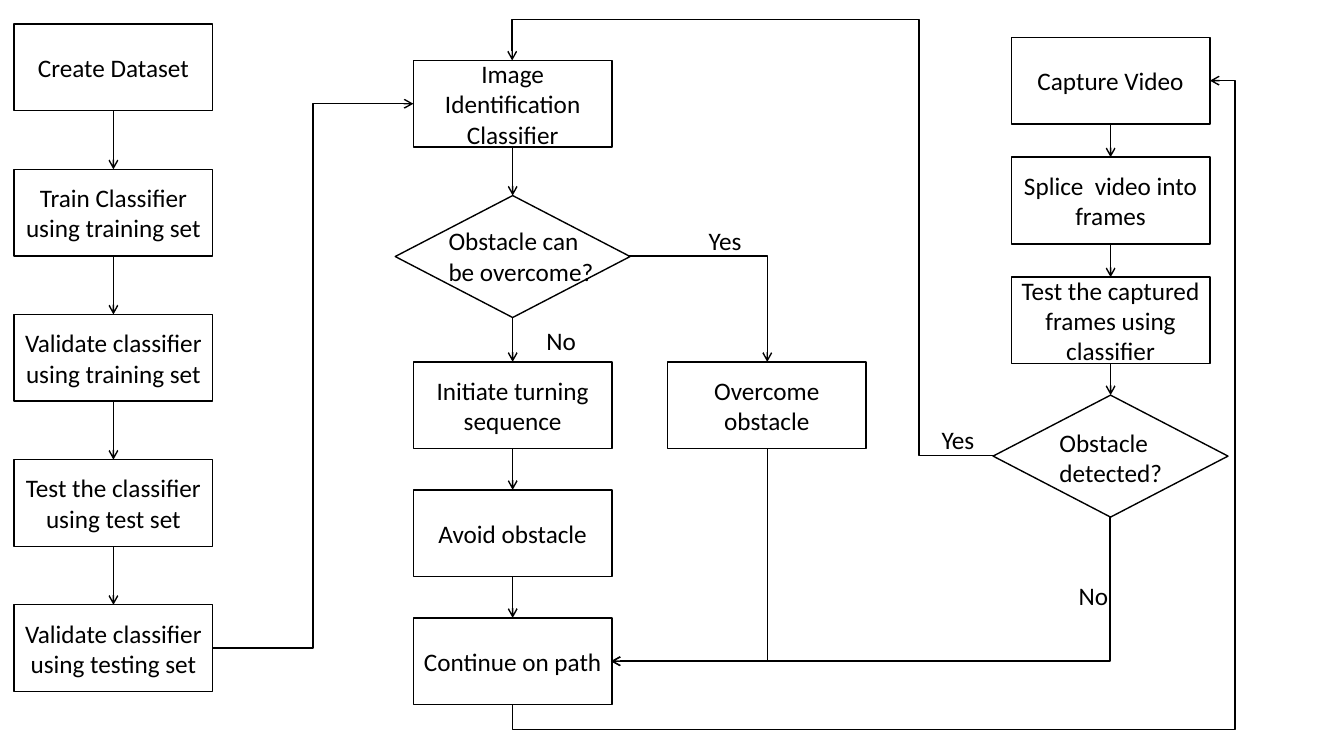
import pptx
import pptx.util
import pptx.dml.color
import pptx.enum.shapes
import pptx.enum.text
import pptx.oxml.ns
import pptx.oxml.xmlchemy
from pptx.util import Inches

COLORS = {"ink": "000000", "paper": "FFFFFF"}
FONT, SIZE = "Calibri", 18
BOX_WIDTH, BOX_HEIGHT = 1.97, 0.86
DECISION_WIDTH, DECISION_HEIGHT = 2.33, 1.21
TRAINING_TOP, TRAINING_STEP = 0.24, 1.44
VIDEO_TOP, VIDEO_STEP = 0.37, 1.19
TOP, BOTTOM = 0, 2

training = [
    "Create Dataset",
    "Train Classifier using training set",
    "Validate classifier using training set",
    "Test the classifier using test set",
    "Validate classifier using testing set",
]
video = [
    "Capture Video",
    "Splice  video into frames",
    "Test the captured frames using classifier",
]
DECISION = None

flows = [
    (0.14, [(TRAINING_TOP + i * TRAINING_STEP, step) for i, step in enumerate(training)]),
    (4.1, [
        (0.6, "Image Identification Classifier"),
        (1.94, DECISION),
        (3.59, "Initiate turning sequence"),
        (4.86, "Avoid obstacle"),
        (6.13, "Continue on path"),
    ]),
    (6.62, [(3.59, "Overcome obstacle")]),
    (10.03, [(VIDEO_TOP + i * VIDEO_STEP, step) for i, step in enumerate(video)]
     + [(3.92, DECISION)]),
]

captions = [
    (4.35, 2.19, 1.71, 0.71, "Obstacle can\nbe overcome?"),
    (10.41, 4.19, 1.23, 0.71, "Obstacle\ndetected?"),
    (5.32, 3.18, 0.5, 0.4, "No"),
    (6.93, 2.19, 0.53, 0.4, "Yes"),
    (9.24, 4.16, 0.53, 0.4, "Yes"),
    (10.6, 5.71, 0.5, 0.4, "No"),
]

detours = [
    ((2.11, 6.43), (4.1, 1.03), "bentConnector3", 0, "v", [50]),
    ((6.24, 2.54), (7.61, 3.59), "bentConnector2", 0, "", []),
    ((7.61, 4.45), (6.06, 6.56), "bentConnector2", 90, "", []),
    ((9.85, 4.52), (5.08, 0.6), "bentConnector4", 180, "", [15.4, 110.3]),
    ((5.08, 6.99), (12, 0.8), "bentConnector4", 90, "hv", [-4, 103.6]),
    ((11.01, 5.13), (6.06, 6.56), "bentConnector2", 90, "", []),
]

presentation = pptx.Presentation()
presentation.slide_width = Inches(13.33)
presentation.slide_height = Inches(7.5)
slide = presentation.slides.add_slide(presentation.slide_layouts[6])


def color(name):
    return pptx.dml.color.RGBColor.from_string(COLORS[name])


def outline(part):
    part.line.color.rgb = color("ink")
    part.line.width = pptx.util.Pt(1)


def write(frame, text, align):
    frame.text = text
    for paragraph in frame.paragraphs:
        paragraph.alignment = align
        paragraph.font.name = FONT
        paragraph.font.size = pptx.util.Pt(SIZE)
        paragraph.font.color.rgb = color("ink")


def add_step(left, top, text):
    kinds = pptx.enum.shapes.MSO_SHAPE
    kind, width, height = kinds.RECTANGLE, BOX_WIDTH, BOX_HEIGHT
    if text is DECISION:
        kind, width, height = kinds.DIAMOND, DECISION_WIDTH, DECISION_HEIGHT
        left -= (DECISION_WIDTH - BOX_WIDTH) / 2
    step = slide.shapes.add_shape(kind, Inches(left), Inches(top), Inches(width), Inches(height))
    step.shadow.inherit = False
    outline(step)
    if text is DECISION:
        step.fill.background()
    else:
        step.fill.solid()
        step.fill.fore_color.rgb = color("paper")
        step.text_frame.vertical_anchor = pptx.enum.text.MSO_ANCHOR.MIDDLE
        write(step.text_frame, text, pptx.enum.text.PP_ALIGN.CENTER)
    return step


def add_arrow(kind, x1, y1, x2, y2):
    arrow = slide.shapes.add_connector(kind, Inches(x1), Inches(y1), Inches(x2), Inches(y2))
    outline(arrow)
    properties = arrow.element.spPr
    head = pptx.oxml.xmlchemy.OxmlElement("a:tailEnd")
    head.set("type", "arrow")
    properties.find(pptx.oxml.ns.qn("a:ln")).append(head)
    properties.append(pptx.oxml.xmlchemy.OxmlElement("a:effectLst"))
    return arrow


def add_detour(start, end, preset, rotation, flips, bends):
    width, height = abs(end[0] - start[0]), abs(end[1] - start[1])
    if rotation == 90:
        width, height = height, width
    left = (start[0] + end[0] - width) / 2
    top = (start[1] + end[1] - height) / 2
    x1, x2 = left, left + width
    y1, y2 = top, top + height
    if "h" in flips:
        x1, x2 = x2, x1
    if "v" in flips:
        y1, y2 = y2, y1
    detour = add_arrow(pptx.enum.shapes.MSO_CONNECTOR.ELBOW, x1, y1, x2, y2)
    properties = detour.element.spPr
    if rotation:
        properties.find(pptx.oxml.ns.qn("a:xfrm")).set("rot", str(rotation * 60000))
    geometry = properties.find(pptx.oxml.ns.qn("a:prstGeom"))
    geometry.set("prst", preset)
    adjustments = geometry.find(pptx.oxml.ns.qn("a:avLst"))
    for number, percent in enumerate(bends, 1):
        guide = pptx.oxml.xmlchemy.OxmlElement("a:gd")
        guide.set("name", f"adj{number}")
        guide.set("fmla", f"val {round(percent * 1000)}")
        adjustments.append(guide)


def main():
    for left, steps in flows:
        previous = None
        for top, text in steps:
            step = add_step(left, top, text)
            if previous is not None:
                arrow = add_arrow(pptx.enum.shapes.MSO_CONNECTOR.STRAIGHT, left, top, left, top)
                arrow.begin_connect(previous, BOTTOM)
                arrow.end_connect(step, TOP)
            previous = step

    for detour in detours:
        add_detour(*detour)

    for left, top, width, height, text in captions:
        caption = slide.shapes.add_textbox(Inches(left), Inches(top), Inches(width), Inches(height))
        caption.text_frame.word_wrap = False
        caption.text_frame.auto_size = pptx.enum.text.MSO_AUTO_SIZE.SHAPE_TO_FIT_TEXT
        write(caption.text_frame, text, pptx.enum.text.PP_ALIGN.LEFT)

    presentation.save("out.pptx")


if __name__ == "__main__":
    main()
